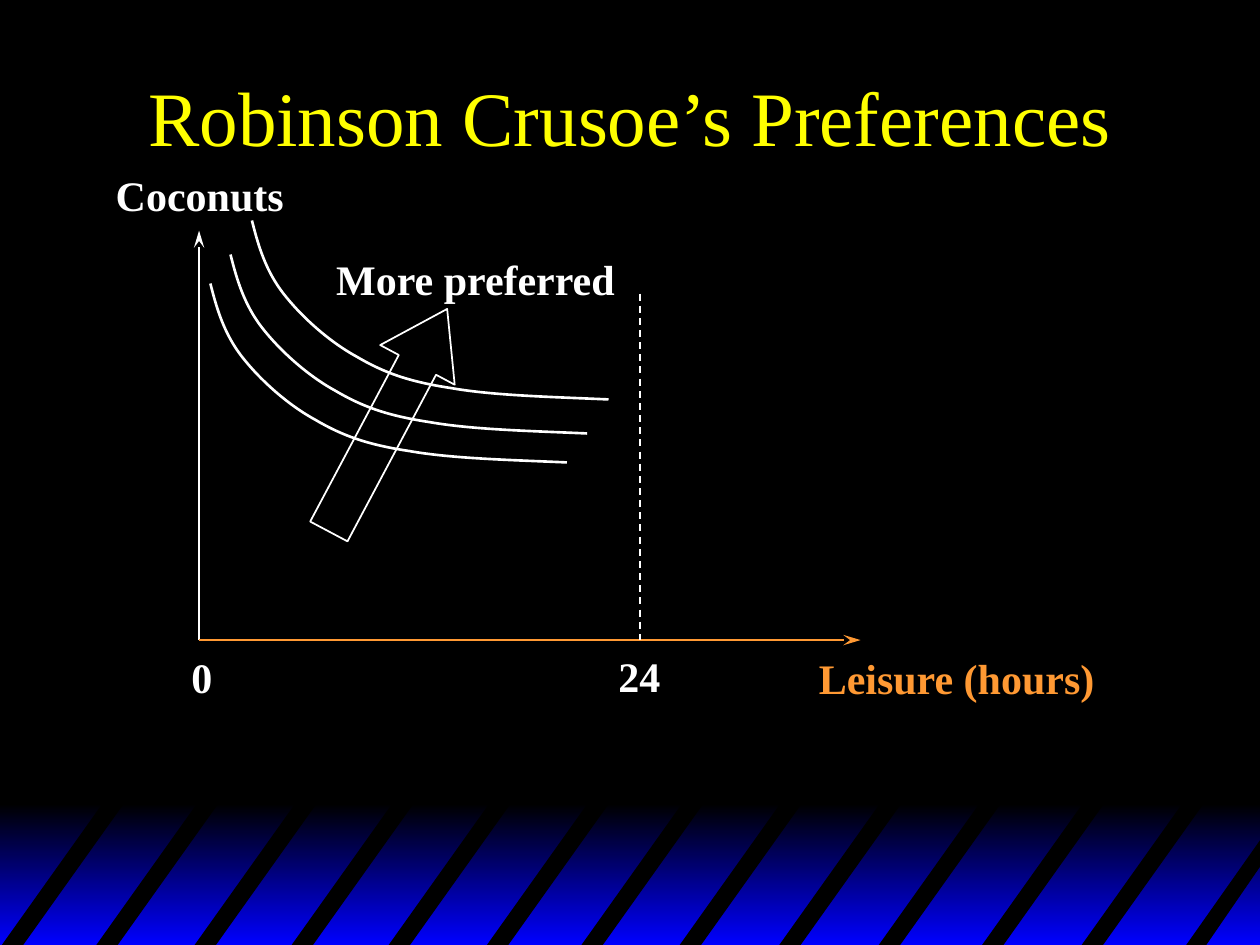
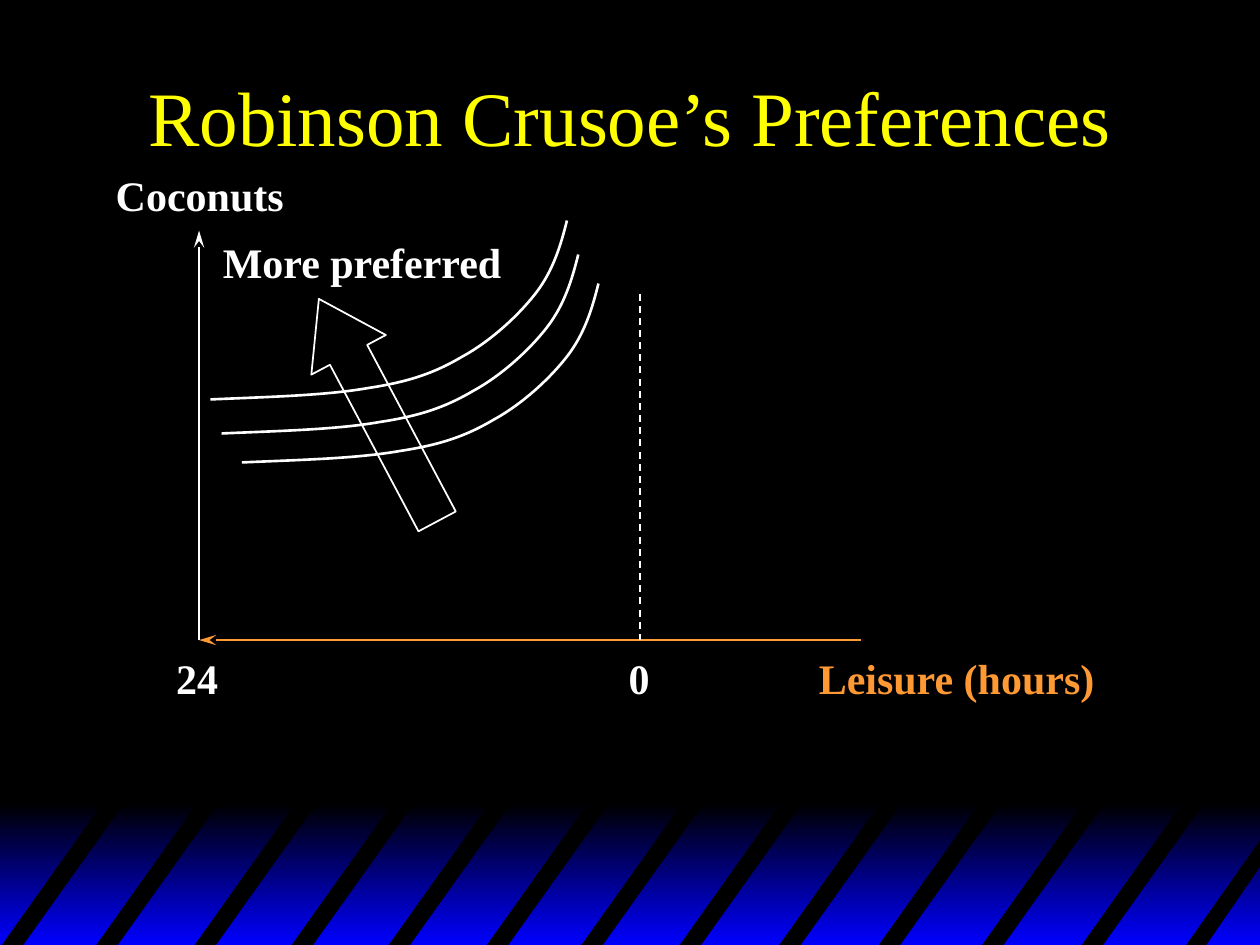
from dataclasses import dataclass

from lxml import etree
from pptx import Presentation
from pptx import util as u
from pptx.dml.color import RGBColor
from pptx.enum import dml, shapes, text
from pptx.oxml.ns import qn


@dataclass(frozen=True)
class Theme:
    font: str = "Times New Roman"
    title_size: int = 44
    label_size: int = 24
    axis_width: float = 1
    curve_width: float = 1.5
    background: RGBColor = RGBColor(0, 0, 0)
    glow: RGBColor = RGBColor(0, 0, 0xFF)
    title: RGBColor = RGBColor(0xFF, 0xFF, 0)
    ink: RGBColor = RGBColor(0xFF, 0xFF, 0xFF)
    leisure: RGBColor = RGBColor(0xFF, 0x99, 0x33)


# Bottom band: left ends of the diagonal stripes
STRIPE_LEFTS = (0, 0.75, 1.53, 2.3, 3.07, 3.85, 4.6, 5.38, 6.17, 6.96, 7.78, 8.57)
STRIPE_TOP, STRIPE_BOTTOM = 6.34, 7.52
STRIPE_LEAN, STRIPE_WIDTH = 0.84, 0.17

# Diagram: axes and the Bezier points of one indifference curve
ORIGIN_X, ORIGIN_Y = 1.58, 5.08
AXIS_TOP, AXIS_RIGHT = 1.83, 6.83
LIMIT_X, LIMIT_TOP = 5.08, 2.33
CURVE_WIDTH = 2.83
CURVE = ((2.83, 1.42), (2.38, 1.4), (1.92, 1.39), (1.58, 1.33), (1.25, 1.28),
         (1.05, 1.21), (0.83, 1.08), (0.61, 0.96), (0.39, 0.76), (0.25, 0.58),
         (0.11, 0.4), (0.05, 0.2), (0, 0))
CURVE_TOPS = (2.02, 2.25, 1.75)


class Deck:
    def __init__(self, theme):
        self.theme = theme
        self.prs = Presentation()
        self.prs.slide_width, self.prs.slide_height = u.Inches(10), u.Inches(7.5)
        self.slide = None
        backdrop = self.prs.slide_master.background.fill
        backdrop.solid()
        backdrop.fore_color.rgb = theme.background

    def new_slide(self, heading):
        self.slide = self.prs.slides.add_slide(self.prs.slide_layouts[5])
        title = self.slide.shapes.title
        title.left, title.top = u.Inches(0.75), u.Inches(0.25)
        title.width, title.height = u.Inches(8.5), u.Inches(1.33)
        frame = title.text_frame
        frame.text = heading
        frame.auto_size = text.MSO_AUTO_SIZE.NONE
        frame.vertical_anchor = text.MSO_ANCHOR.MIDDLE
        frame.paragraphs[0].alignment = text.PP_ALIGN.CENTER
        self.style_run(frame, self.theme.title_size, self.theme.title)

    def style_run(self, frame, size, color, bold=False):
        font = frame.paragraphs[0].runs[0].font
        font.name, font.size, font.bold = self.theme.font, u.Pt(size), bold
        font.color.rgb = color

    def label(self, wording, left, top, width, color=None):
        box = self.slide.shapes.add_textbox(
            u.Inches(left), u.Inches(top), u.Inches(width), u.Inches(0.5))
        frame = box.text_frame
        frame.text = wording
        frame.word_wrap = False
        frame.auto_size = text.MSO_AUTO_SIZE.SHAPE_TO_FIT_TEXT
        self.style_run(frame, self.theme.label_size, color or self.theme.ink, True)

    def line(self, start, end, color=None, arrow=False, dashed=False):
        connector = self.slide.shapes.add_connector(
            shapes.MSO_CONNECTOR.STRAIGHT, *map(u.Inches, (*start, *end)))
        connector.line.color.rgb = color or self.theme.ink
        connector.line.width = u.Pt(self.theme.axis_width)
        if dashed:
            connector.line.dash_style = dml.MSO_LINE.DASH
        properties = connector.element.spPr
        if arrow:
            outline = properties.find(qn("a:ln"))
            etree.SubElement(outline, qn("a:tailEnd"), type="stealth", w="med", len="lg")
        etree.SubElement(properties, qn("a:effectLst"))

    def outline_only(self, shape, width):
        shape.shadow.inherit = False
        shape.fill.background()
        shape.line.color.rgb = self.theme.ink
        shape.line.width = u.Pt(width)

    def preference_arrow(self, left, top, rotation):
        arrow = self.slide.shapes.add_shape(
            shapes.MSO_SHAPE.RIGHT_ARROW,
            u.Inches(left), u.Inches(top), u.Inches(2), u.Inches(0.67))
        arrow.adjustments[0], arrow.adjustments[1] = 0.5, 0.75
        arrow.rotation = rotation
        self.outline_only(arrow, self.theme.axis_width)

    def freeform(self, owner, points, close):
        start, *rest = [(u.Inches(x), u.Inches(y)) for x, y in points]
        builder = owner.build_freeform(*start)
        builder.add_line_segments(rest, close=close)
        return builder.convert_to_shape()

    def curve(self, points):
        shape = self.freeform(self.slide.shapes, points, close=False)
        self.outline_only(shape, self.theme.curve_width)
        # Every three points after the start form one Bezier segment
        path_element = shape.element.xpath(".//a:path")[0]
        segments = path_element.findall(qn("a:lnTo"))
        for first in range(0, len(segments), 3):
            bezier = etree.SubElement(path_element, qn("a:cubicBezTo"))
            for segment in segments[first:first + 3]:
                bezier.append(segment[0])
                path_element.remove(segment)

    def bottom_band(self):
        """Build the striped band once and move it to the slide master."""
        band = self.slide.shapes.add_group_shape()
        glow = band.shapes.add_shape(
            shapes.MSO_SHAPE.RECTANGLE,
            u.Inches(0), u.Inches(6.38), u.Inches(10.02), u.Inches(1.12))
        glow.shadow.inherit = False
        glow.line.fill.background()
        glow.fill.gradient()
        glow.fill.gradient_angle = 270
        colors = (self.theme.background, self.theme.glow)
        for position, (stop, color) in enumerate(zip(glow.fill.gradient_stops, colors)):
            stop.position, stop.color.rgb = position, color

        outlines = [((x, STRIPE_BOTTOM), (x + STRIPE_LEAN, STRIPE_TOP),
                     (x + STRIPE_LEAN + STRIPE_WIDTH, STRIPE_TOP),
                     (x + STRIPE_WIDTH, STRIPE_BOTTOM)) for x in STRIPE_LEFTS]
        outlines.append(((9.4, STRIPE_BOTTOM), (10.02, 6.64),
                         (10.02, 6.85), (9.56, STRIPE_BOTTOM)))
        for outline in outlines:
            stripe = self.freeform(band.shapes, outline, close=True)
            stripe.shadow.inherit = False
            stripe.fill.solid()
            stripe.fill.fore_color.rgb = self.theme.background
            stripe.line.fill.background()

        for number, part in enumerate(band.element.xpath(".//p:cNvPr"), start=100):
            part.set("id", str(number))
        self.prs.slide_master.shapes.element.insert(2, band.element)

    def preferences(self, axis_ends, arrow, preferred, marks, curve_lefts, mirrored):
        self.new_slide("Robinson Crusoe’s Preferences")
        # Axes and their names
        self.line((ORIGIN_X, ORIGIN_Y), (ORIGIN_X, AXIS_TOP), arrow=True)
        start, end = axis_ends
        self.line((start, ORIGIN_Y), (end, ORIGIN_Y), self.theme.leisure, arrow=True)
        self.label("Leisure (hours)", 6.4, 5.13, 2.39, self.theme.leisure)
        self.label("Coconuts", 0.82, 1.3, 1.56)
        # Direction of preference
        self.preference_arrow(*arrow)
        self.label("More preferred", *preferred, 2.43)
        # Hour marks and time limit
        for mark in marks:
            self.label(*mark)
        self.line((LIMIT_X, LIMIT_TOP), (LIMIT_X, ORIGIN_Y), dashed=True)
        # Indifference curves
        for left, top in zip(curve_lefts, CURVE_TOPS):
            self.curve([(left + (CURVE_WIDTH - x if mirrored else x), top + y)
                        for x, y in CURVE])


def main():
    deck = Deck(Theme())
    # Leisure measured from the left
    deck.preferences(
        axis_ends=(ORIGIN_X, AXIS_RIGHT), arrow=(2.08, 3, 298), preferred=(2.57, 1.96),
        marks=(("24", 4.81, 5.11, 0.53), ("0", 1.42, 5.12, 0.36)),
        curve_lefts=(1.83, 1.67, 2), mirrored=False)
    deck.bottom_band()
    # Leisure measured from the right
    deck.preferences(
        axis_ends=(AXIS_RIGHT, ORIGIN_X), arrow=(2, 2.92, 242), preferred=(1.67, 1.83),
        marks=(("24", 1.3, 5.13, 0.53), ("0", 4.89, 5.13, 0.36)),
        curve_lefts=(1.76, 1.92, 1.67), mirrored=True)
    deck.prs.save("out.pptx")


if __name__ == "__main__":
    main()
